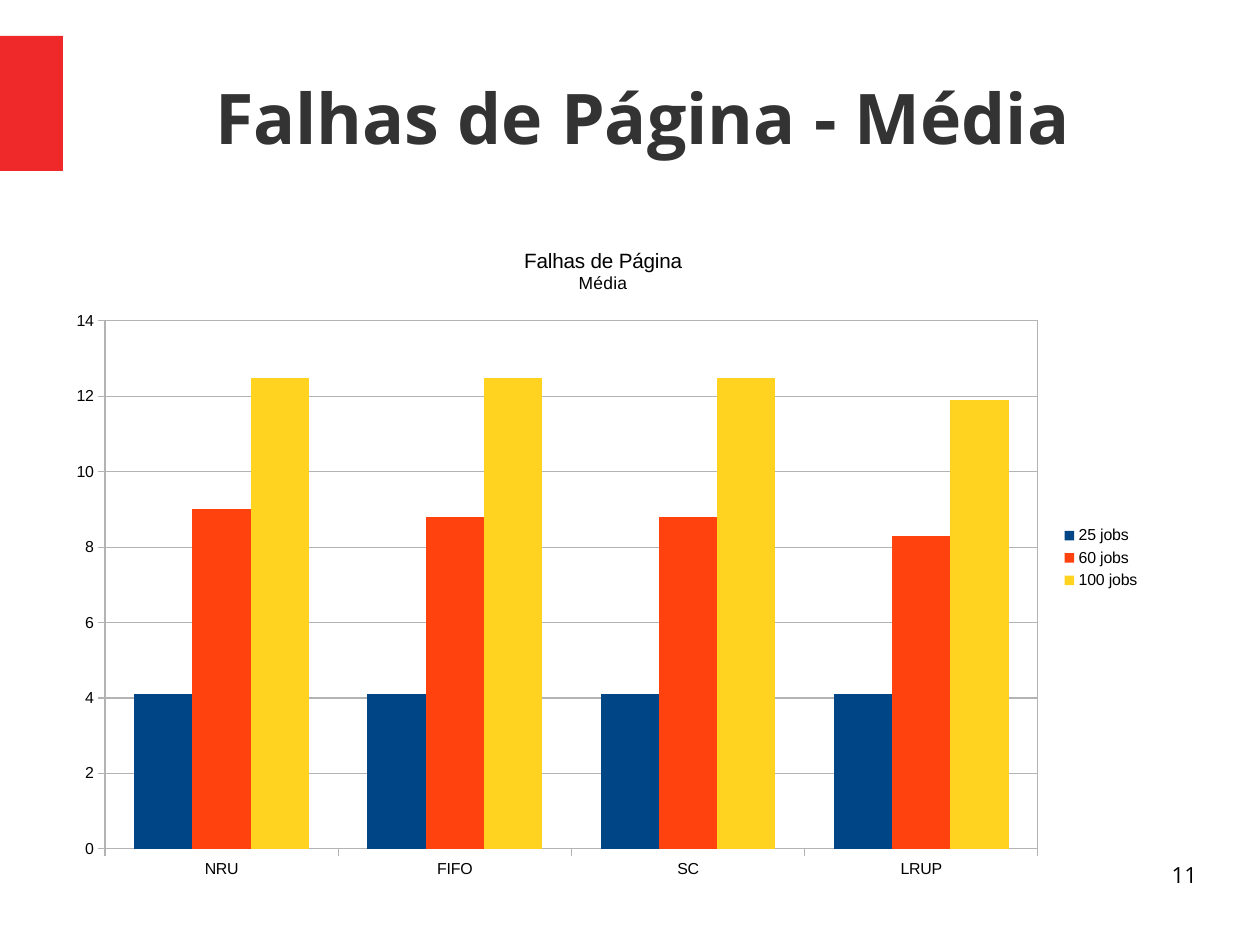
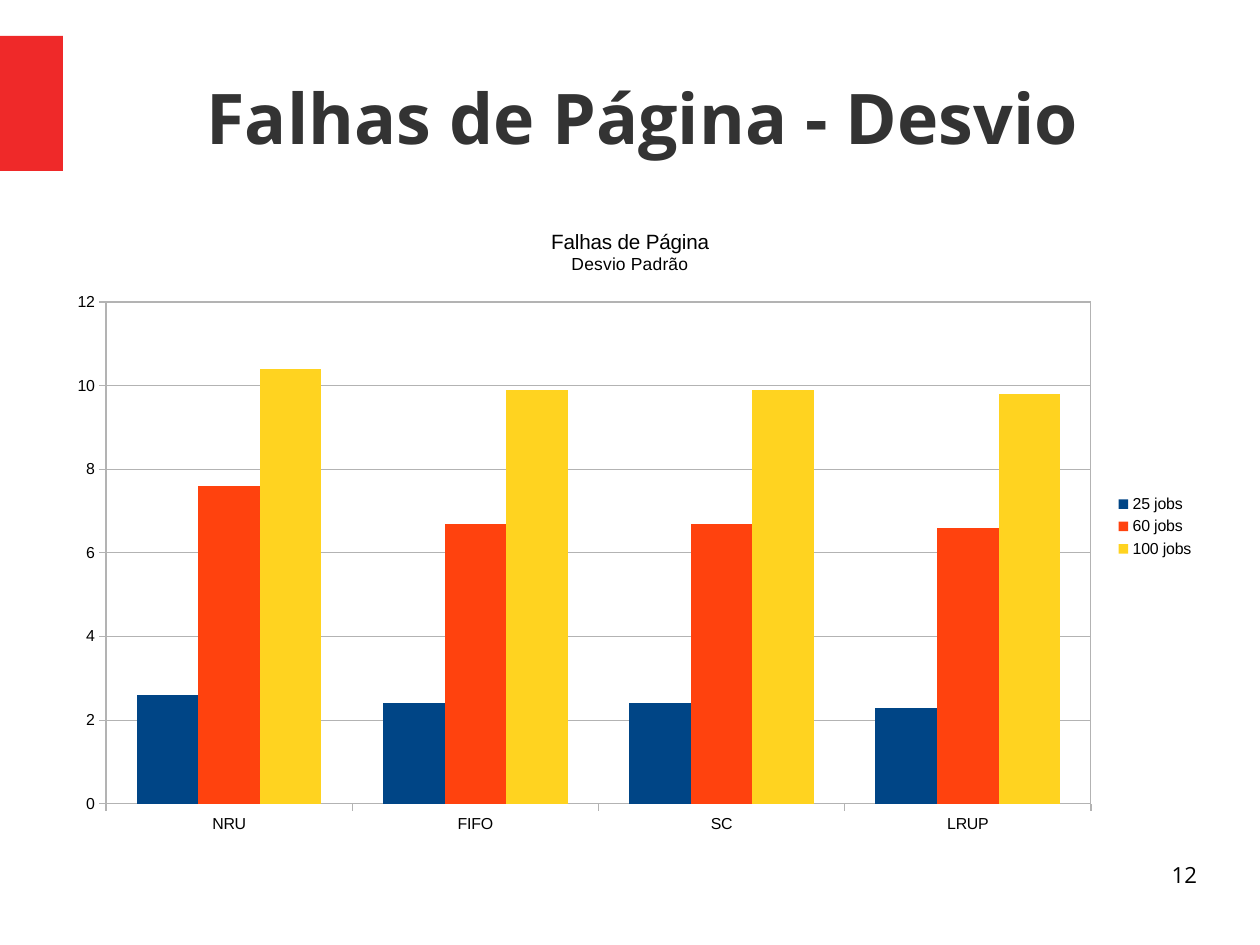
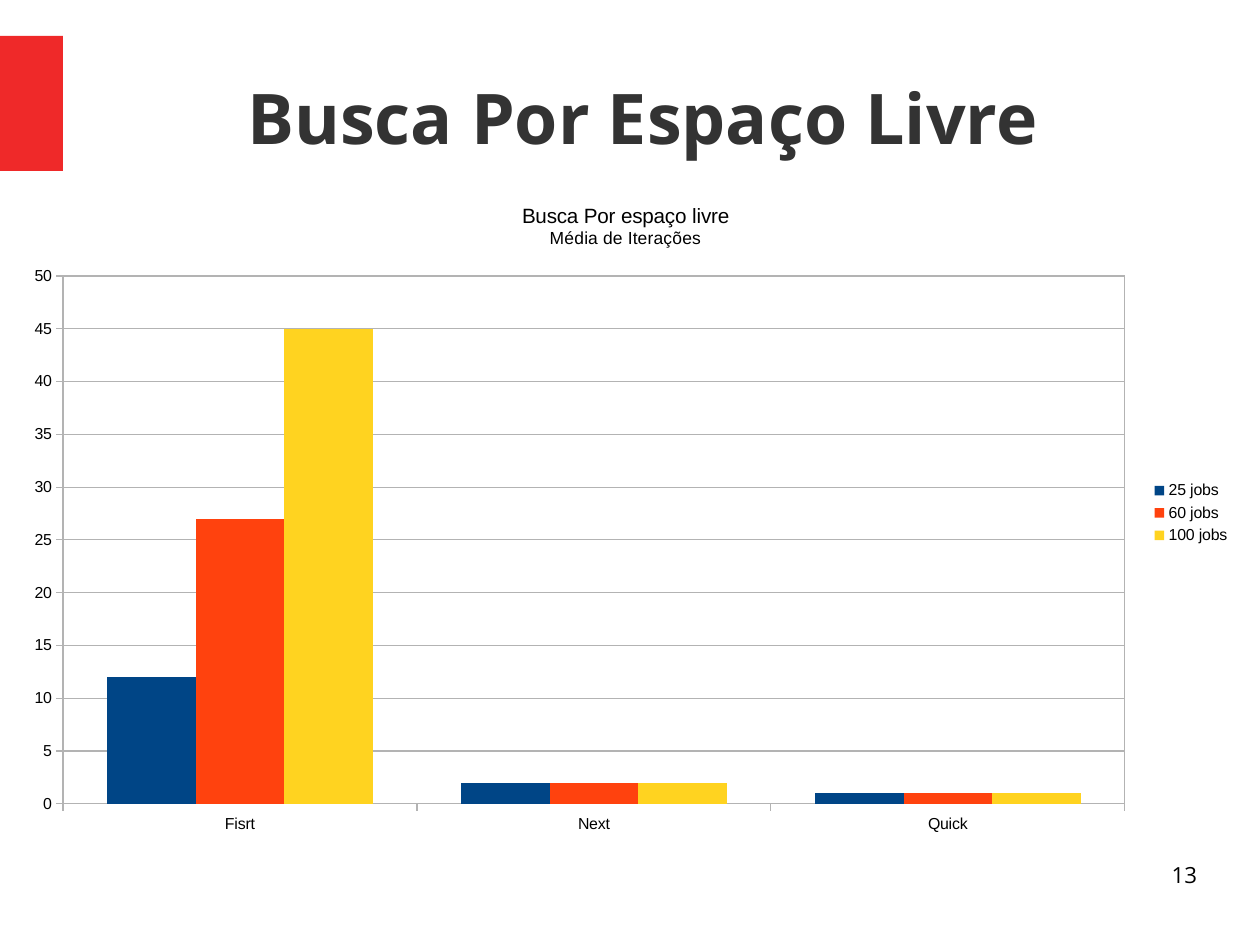
from lxml import etree
from pptx import Presentation
from pptx import util as u
from pptx.chart import data as cd
from pptx.dml.color import RGBColor
from pptx.enum import chart as ch, shapes, text
from pptx.oxml import ns, parse_xml

PX = 8000  # EMU per px
COLORS = {"bar": "EF2929", "title": "333333", "text": "000000", "paper": "FFFFFF", "rule": "B3B3B3"}
SERIES = {"25 jobs": "004586", "60 jobs": "FF420E", "100 jobs": "FFD320"}
FIRST_NUMBER = 11
POLICIES = ["NRU", "FIFO", "SC", "LRUP"]

# Boxes are left, top, width, height in px; "plot" is the inner plot area
PAGES = [
    {"title": "Falhas de Página - Média", "head": ["Falhas de Página", "Média"],
     "box": (54, 225, 1098, 666), "plot": (105, 321, 933, 528), "top": 14, "step": 2,
     "cats": POLICIES,
     "vals": [(4.1, 4.1, 4.1, 4.1), (9, 8.8, 8.8, 8.3), (12.5, 12.5, 12.5, 11.9)]},
    {"title": "Falhas de Página - Desvio", "head": ["Falhas de Página", "Desvio Padrão"],
     "box": (54, 207, 1152, 639), "plot": (106, 302, 985, 502), "top": 12, "step": 2,
     "cats": POLICIES,
     "vals": [(2.6, 2.4, 2.4, 2.3), (7.6, 6.7, 6.7, 6.6), (10.4, 9.9, 9.9, 9.8)]},
    {"title": "Busca Por Espaço Livre", "head": ["Busca Por espaço livre", "Média de Iterações"],
     "box": (9, 180, 1233, 666), "plot": (63, 276, 1062, 528), "top": 50, "step": 5,
     "cats": ["Fisrt", "Next", "Quick"],
     "vals": [(12, 2, 1), (27, 2, 1), (45, 2, 1)]},
]


def style(font, name, size, color, bold=False):
    font.name, font.size, font.bold = name, u.Pt(size), bold
    font.color.rgb = RGBColor.from_string(color)


def rule_line(line):
    line.color.rgb = RGBColor.from_string(COLORS["rule"])
    line.width = u.Pt(0)


prs = Presentation()
prs.slide_width, prs.slide_height = 1260 * PX, 945 * PX
layout = prs.slide_layouts[5]
slides = [prs.slides.add_slide(layout) for _ in PAGES]

# Red band, moved to the shared layout
band = slides[0].shapes.add_shape(shapes.MSO_SHAPE.RECTANGLE, 0, 36 * PX, 63 * PX, 135 * PX)
band.shadow.inherit = False
band.fill.solid()
band.fill.fore_color.rgb = RGBColor.from_string(COLORS["bar"])
band.line.fill.background()
band.element.xpath("p:nvSpPr/p:cNvPr")[0].set("id", "20")
layout.shapes.element.insert(2, band.element)

for number, (s, page) in enumerate(zip(slides, PAGES), FIRST_NUMBER):
    # Title
    sp = s.shapes.title
    sp.left, sp.top, sp.width, sp.height = (v * PX for v in (90, 38, 1106, 158))
    tf = sp.text_frame
    tf.text = page["title"]
    tf.margin_left = tf.margin_top = tf.margin_right = tf.margin_bottom = 0
    tf.vertical_anchor = text.MSO_ANCHOR.MIDDLE
    tf.auto_size = text.MSO_AUTO_SIZE.NONE
    p = tf.paragraphs[0]
    p.alignment = text.PP_ALIGN.CENTER
    style(p.runs[0].font, "Open Sans", 44, COLORS["title"], True)

    # Chart
    data = cd.CategoryChartData(number_format="General")
    data.categories = page["cats"]
    for name, vals in zip(SERIES, page["vals"]):
        data.add_series(name, vals)
    chart = s.shapes.add_chart(ch.XL_CHART_TYPE.COLUMN_CLUSTERED,
                               *(v * PX for v in page["box"]), data).chart
    style(chart.font, "Arial", 10, COLORS["text"])
    plot = chart.plots[0]
    plot.gap_width, plot.overlap, plot.vary_by_categories = 100, 0, False
    for ser, color in zip(plot.series, SERIES.values()):
        ser.format.fill.solid()
        ser.format.fill.fore_color.rgb = RGBColor.from_string(color)

    # Chart title and subtitle
    chart.has_title = True
    tf = chart.chart_title.text_frame
    tf.text = "\n".join(page["head"])
    for p, size in zip(tf.paragraphs, (13, 11)):
        style(p.runs[0].font, "Arial", size, COLORS["text"])
    chart.chart_title.include_in_layout = False

    # Legend and axes
    chart.has_legend = True
    chart.legend.position = ch.XL_LEGEND_POSITION.RIGHT
    chart.legend.include_in_layout = False
    style(chart.legend.font, "Arial", 10, COLORS["text"])
    for axis in (chart.category_axis, chart.value_axis):
        axis.major_tick_mark = ch.XL_TICK_MARK.OUTSIDE
        axis.minor_tick_mark = ch.XL_TICK_MARK.NONE
        style(axis.tick_labels.font, "Arial", 10, COLORS["text"])
        rule_line(axis.format.line)
    axis = chart.value_axis
    axis.minimum_scale, axis.maximum_scale, axis.major_unit = 0, page["top"], page["step"]
    axis.has_major_gridlines = True
    rule_line(axis.major_gridlines.format.line)

    # Plot area: inner position as fractions of the chart, thin frame
    area = chart.element.xpath("c:chart/c:plotArea")[0]
    for old in area.xpath("c:layout"):
        area.remove(old)
    (left, top, width, height), inner = page["box"], page["plot"]
    place = {"layoutTarget": "inner", "xMode": "edge", "yMode": "edge",
             "x": (inner[0] - left) / width, "y": (inner[1] - top) / height,
             "w": inner[2] / width, "h": inner[3] / height}
    spot = etree.Element(ns.qn("c:layout"))
    manual = etree.SubElement(spot, ns.qn("c:manualLayout"))
    for tag, val in place.items():
        etree.SubElement(manual, ns.qn("c:" + tag)).set("val", str(val))
    area.insert(0, spot)
    area.append(parse_xml(
        f'<c:spPr {ns.nsdecls("c", "a")}><a:noFill/><a:ln w="0"><a:solidFill>'
        f'<a:srgbClr val="{COLORS["rule"]}"/></a:solidFill></a:ln></c:spPr>'))

    # Chart background
    chart.element.xpath("c:txPr")[0].addprevious(parse_xml(
        f'<c:spPr {ns.nsdecls("c", "a")}><a:solidFill><a:srgbClr val="{COLORS["paper"]}"/>'
        '</a:solidFill><a:ln><a:noFill/></a:ln></c:spPr>'))

    # Page number
    tf = s.shapes.add_textbox(*(v * PX for v in (903, 861, 294, 65))).text_frame
    tf.word_wrap = True
    tf.margin_left = tf.margin_top = tf.margin_right = tf.margin_bottom = 0
    tf.text = str(number)
    p = tf.paragraphs[0]
    p.alignment = text.PP_ALIGN.RIGHT
    style(p.runs[0].font, "Open Sans", 14, COLORS["text"])

prs.save("out.pptx")
